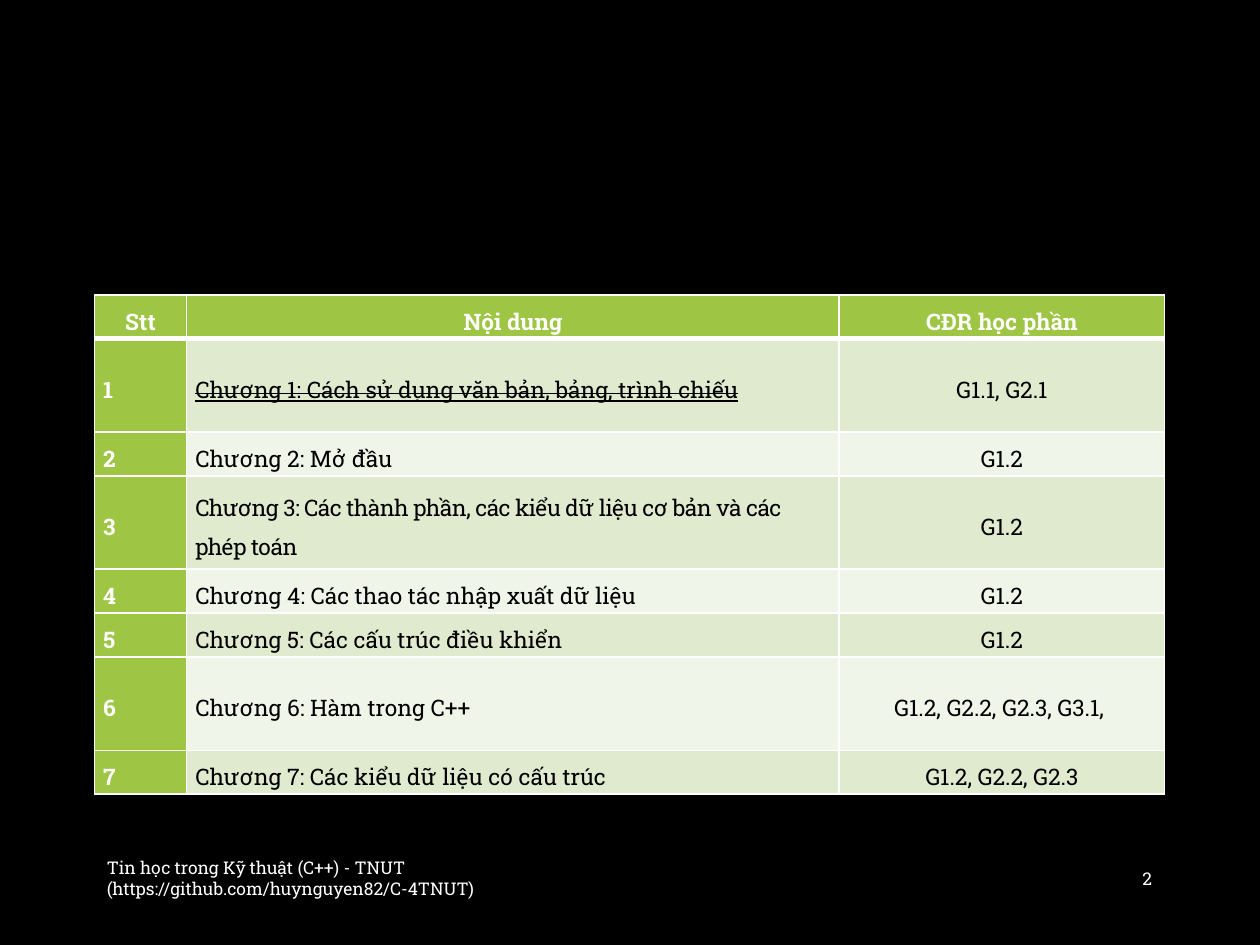
from lxml.etree import SubElement
from pptx import Presentation
from pptx.dml.color import RGBColor
from pptx.enum.text import MSO_ANCHOR, PP_ALIGN
from pptx.oxml.ns import qn
from pptx.util import Pt

FONT = "Roboto Slab"
BLACK = RGBColor(0x00, 0x00, 0x00)
WHITE = RGBColor(0xFF, 0xFF, 0xFF)
GREEN = RGBColor(0x9E, 0xC5, 0x44)
DARK_BAND = RGBColor(0xDF, 0xEA, 0xCF)
LIGHT_BAND = RGBColor(0xF0, 0xF5, 0xE9)

COLUMN_WIDTHS = [52.6, 373, 185.8]
SHORT_ROW = 25.1
TALL_ROW = 53.3
TALL_ROWS = (1, 3, 6)
DROPPED_CHAPTER = 1
TIGHT_CHAPTER = 3

ROWS = [
    ("Stt", "Nội dung", "CĐR học phần"),
    ("1", "Chương 1: Cách sử dụng văn bản, bảng, trình chiếu", "G1.1, G2.1"),
    ("2", "Chương 2: Mở đầu", "G1.2"),
    ("3", "Chương 3: Các thành phần, các kiểu dữ liệu cơ bản và các phép toán", "G1.2"),
    ("4", "Chương 4: Các thao tác nhập xuất dữ liệu", "G1.2"),
    ("5", "Chương 5: Các cấu trúc điều khiển", "G1.2"),
    ("6", "Chương 6: Hàm trong C++", "G1.2, G2.2, G2.3, G3.1, "),
    ("7", "Chương 7: Các kiểu dữ liệu có cấu trúc", "G1.2, G2.2, G2.3"),
]


def add_span(para, text, size, color, bold=False):
    span = para.add_run()
    span.text = text
    span.font.name = FONT
    span.font.size = Pt(size)
    span.font.bold = bold
    span.font.color.rgb = color
    return span


def add_border(cell, side, width):
    properties = cell._tc.get_or_add_tcPr()
    line = SubElement(properties, qn(f"a:{side}"), w=str(Pt(width)))
    fill = SubElement(line, qn("a:solidFill"))
    SubElement(fill, qn("a:srgbClr"), val=str(WHITE))


def format_cell(cell, text, row, column):
    header = row == 0
    accent = header or column == 0
    for side in ("lnL", "lnR", "lnT", "lnB"):
        heavy = (header and side == "lnB") or (row == 1 and side == "lnT")
        add_border(cell, side, 3 if heavy else 1)
    cell.fill.solid()
    band = DARK_BAND if row % 2 else LIGHT_BAND
    cell.fill.fore_color.rgb = GREEN if accent else band
    cell.vertical_anchor = MSO_ANCHOR.MIDDLE
    cell.margin_left = cell.margin_right = Pt(5)
    cell.margin_top = cell.margin_bottom = Pt(0)
    para = cell.text_frame.paragraphs[0]
    para.alignment = PP_ALIGN.CENTER if header or column == 2 else PP_ALIGN.LEFT
    para.line_spacing = 1.3
    para.space_after = Pt(1)
    return add_span(para, text, 13, WHITE if accent else BLACK, accent)


def add_chapter_table(page):
    frame = page.shapes.add_table(
        len(ROWS), len(COLUMN_WIDTHS), Pt(54), Pt(168.5), Pt(611.4), Pt(285.4)
    )
    table = frame.table
    for column, width in zip(table.columns, COLUMN_WIDTHS):
        column.width = Pt(width)
    for row, texts in enumerate(ROWS):
        table.rows[row].height = Pt(TALL_ROW if row in TALL_ROWS else SHORT_ROW)
        for column, text in enumerate(texts):
            span = format_cell(table.cell(row, column), text, row, column)
            if column == 1 and row == DROPPED_CHAPTER:
                span.font.underline = True
                span._r.get_or_add_rPr().set("strike", "sngStrike")
            if column == 1 and row == TIGHT_CHAPTER:
                span._r.get_or_add_rPr().set("spc", "-30")


def add_footer(page, text, left, width, alignment):
    box = page.shapes.add_textbox(Pt(left), Pt(487.5), Pt(width), Pt(28.8))
    box.text_frame.word_wrap = True
    box.text_frame.vertical_anchor = MSO_ANCHOR.MIDDLE
    para = box.text_frame.paragraphs[0]
    para.alignment = alignment
    add_span(para, text, 10, WHITE)


def main():
    deck = Presentation()
    deck.slide_width = Pt(720)
    deck.slide_height = Pt(540)
    page = deck.slides.add_slide(deck.slide_layouts[6])
    page.background.fill.solid()
    page.background.fill.fore_color.rgb = BLACK
    add_chapter_table(page)
    add_footer(
        page,
        "Tin học trong Kỹ thuật (C++) - TNUT (https://github.com/huynguyen82/C-4TNUT)",
        54,
        393.8,
        PP_ALIGN.LEFT,
    )
    add_footer(page, "2", 620.6, 44.8, PP_ALIGN.RIGHT)
    deck.save("out.pptx")


if __name__ == "__main__":
    main()
